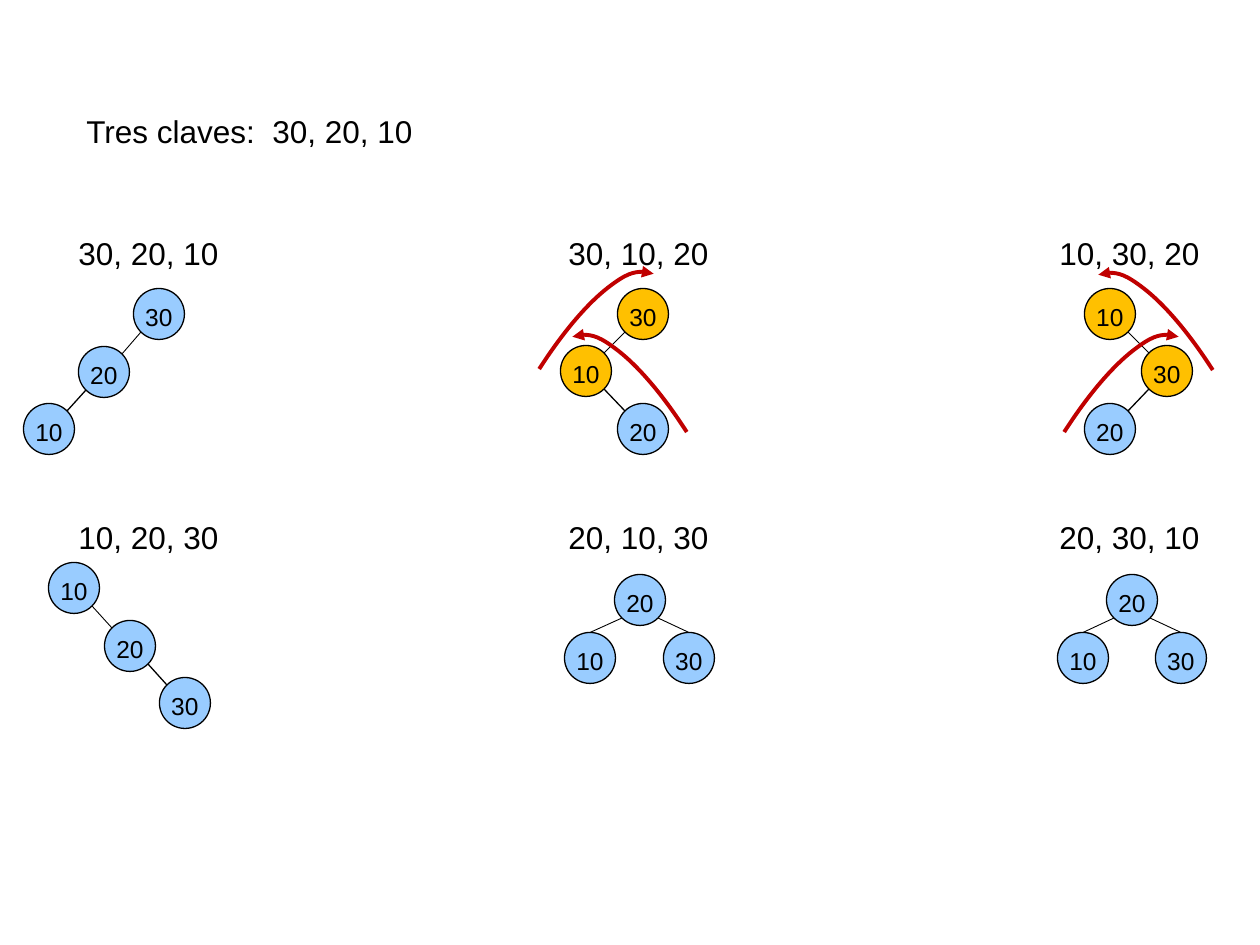
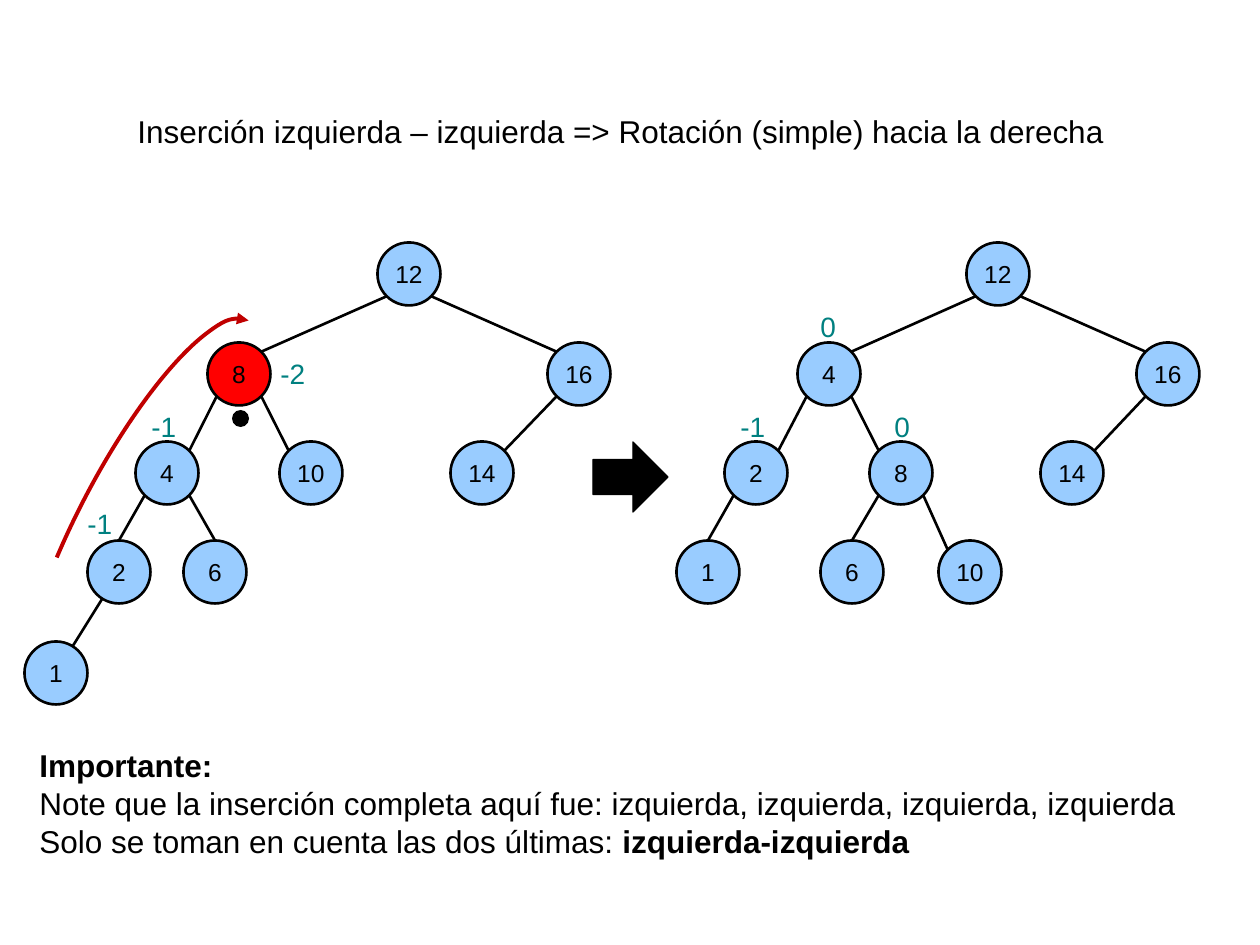
from math import hypot, sqrt

from lxml.etree import SubElement
from pptx import Presentation
from pptx.dml.color import RGBColor
from pptx.enum.shapes import MSO_CONNECTOR, MSO_SHAPE
from pptx.enum.text import MSO_ANCHOR, MSO_AUTO_SIZE, PP_ALIGN
from pptx.oxml.ns import qn
from pptx.util import Emu, Pt

PX_PER_INCH = 126
FONT = "Arial"
COLORS = {
    "black": "000000",
    "node": "99CCFF",
    "unbalanced": "FFC000",
    "pivot": "FF0000",
    "rotation": "C00000",
    "balance": "008080",
}

# Slide 1: three keys inserted in each possible order
KEYS_TITLE = ("Tres claves:  30, 20, 10", 74, 106, 354)
COLUMN_LEFTS = (66, 556, 1047)
ROW_TOPS = (228, 512)
INSERTION_ORDERS = [
    ["30, 20, 10", "30, 10, 20", "10, 30, 20"],
    ["10, 20, 30", "20, 10, 30", "20, 30, 10"],
]
# Nodes: key -> centre x, centre y, colour.
# Edges: parent, child, where the line meets the circles, width in points.
KEY_TREES = [
    ({"30": (159, 314, "node"), "20": (104, 372, "node"), "10": (49, 429, "node")},
     [("30", "20", "corner", 0.5), ("20", "10", "corner", 0.75)]),
    ({"30": (643, 314, "unbalanced"), "10": (586, 371, "unbalanced"), "20": (643, 429, "node")},
     [("30", "10", "corner", 0.5), ("10", "20", "corner", 0.75)]),
    ({"10": (1110, 314, "unbalanced"), "30": (1167, 371, "unbalanced"), "20": (1110, 429, "node")},
     [("10", "30", "corner", 0.5), ("30", "20", "corner", 0.75)]),
    ({"10": (74, 588, "node"), "20": (130, 646, "node"), "30": (185, 703, "node")},
     [("10", "20", "corner", 0.5), ("20", "30", "corner", 0.75)]),
    ({"20": (640, 600, "node"), "10": (590, 658, "node"), "30": (689, 658, "node")},
     [("20", "10", "top", 0.5), ("20", "30", "top", 0.5)]),
    ({"20": (1132, 600, "node"), "10": (1083, 658, "node"), "30": (1181, 658, "node")},
     [("20", "10", "top", 0.5), ("20", "30", "top", 0.5)]),
]
# Arcs: left, top, width, height, rotation, start angle in degrees, flipped
KEY_ARCS = [
    (433, 481, 475, 144, 65.6, 327.92, True),
    (318, 418, 475, 144, 294.4, 327.92, False),
    (843, 481, 475, 144, 294.4, 327.92, False),
    (959, 419, 475, 144, 65.6, 327.92, True),
]

# Slide 2: left-left insertion before and after the rotation
ROTATION_TITLE = ("Inserción izquierda – izquierda => Rotación (simple) hacia la derecha",
                  125, 106, 1009)
ROTATION_TREES = [
    ({"12": (409, 274, "node"), "8": (239, 374, "pivot"), "16": (579, 374, "node"),
      "4": (167, 473, "node"), "10": (311, 473, "node"), "14": (482, 473, "node"),
      "2": (119, 572, "node"), "6": (215, 572, "node"), "1": (56, 673, "node")},
     [("12", "8", "corner", 1.5), ("12", "16", "corner", 1.5), ("8", "4", "corner", 1.5),
      ("8", "10", "corner", 1.5), ("16", "14", "corner", 1.5), ("4", "2", "top", 1.5),
      ("4", "6", "top", 1.5), ("2", "1", "centre", 1.5)]),
    ({"12": (998, 274, "node"), "4": (829, 374, "node"), "16": (1168, 374, "node"),
      "2": (756, 473, "node"), "8": (901, 473, "node"), "14": (1072, 473, "node"),
      "1": (708, 572, "node"), "6": (852, 572, "node"), "10": (970, 572, "node")},
     [("12", "4", "corner", 1.5), ("12", "16", "corner", 1.5), ("4", "2", "corner", 1.5),
      ("4", "8", "corner", 1.5), ("16", "14", "corner", 1.5), ("2", "1", "top", 1.5),
      ("8", "6", "top", 1.5), ("8", "10", "corner", 1.5)]),
]
BALANCE_FACTORS = [
    ("-1", 75, 500, 50), ("-1", 139, 403, 50), ("-2", 268, 350, 50),
    ("-1", 728, 403, 50), ("0", 808, 303, 42), ("0", 882, 403, 42),
]
ROTATION_ARC = (-89, 462, 461, 125, 297.7, 221.03, False)
PIVOT_DOT = (232, 410, 17, 17)
RESULT_ARROW = (593, 442, 75, 70)
NOTE_BOX = (27, 740, 1172, 127)
NOTE = [
    [("Importante:", True)],
    [("Note que la inserción completa aquí fue: izquierda, izquierda, izquierda, izquierda", False)],
    [("Solo se toman en cuenta las dos últimas: ", False), ("izquierda-izquierda", True)],
]


def px(length):
    return Emu(round(length * 914400 / PX_PER_INCH))


def rgb(name):
    return RGBColor.from_string(COLORS[name])


def style_font(font, size, color="black", bold=False):
    font.name = FONT
    font.size = Pt(size)
    font.bold = bold
    font.color.rgb = rgb(color)


def add_text_box(slide, left, top, width, height):
    """Add an empty, unwrapped box and return its text frame."""
    box = slide.shapes.add_textbox(px(left), px(top), px(width), px(height))
    box.text_frame.word_wrap = False
    box.text_frame.auto_size = MSO_AUTO_SIZE.SHAPE_TO_FIT_TEXT
    return box.text_frame


def add_label(slide, text, left, top, width, height=50, size=18, color="black"):
    frame = add_text_box(slide, left, top, width, height)
    frame.text = text
    style_font(frame.paragraphs[0].runs[0].font, size, color)


def add_filled_shape(slide, kind, box, fill, line_width=None):
    shape = slide.shapes.add_shape(kind, *map(px, box))
    shape.shadow.inherit = False
    shape.fill.solid()
    shape.fill.fore_color.rgb = rgb(fill)
    if line_width is None:
        shape.line.fill.background()
    else:
        shape.line.color.rgb = rgb("black")
        shape.line.width = Pt(line_width)
    return shape


def add_node(slide, key, center_x, center_y, color, diameter, line_width, centered):
    box = (center_x - diameter / 2, center_y - diameter / 2, diameter, diameter)
    shape = add_filled_shape(slide, MSO_SHAPE.OVAL, box, color, line_width)
    frame = shape.text_frame
    frame.word_wrap = False
    frame.vertical_anchor = MSO_ANCHOR.MIDDLE if centered else MSO_ANCHOR.TOP
    if centered:
        frame.margin_left = frame.margin_top = frame.margin_right = frame.margin_bottom = 0
    frame.text = key
    paragraph = frame.paragraphs[0]
    paragraph.alignment = PP_ALIGN.CENTER
    style_font(paragraph.runs[0].font, 14)


def edge_ends(parent, child, meeting, radius):
    """Return the points where an edge leaves the parent and reaches the child."""
    (x1, y1), (x2, y2) = parent, child
    if meeting == "centre":
        distance = hypot(x2 - x1, y2 - y1)
        shift_x = radius * (x2 - x1) / distance
        shift_y = radius * (y2 - y1) / distance
    else:
        shift_y = radius / sqrt(2)
        shift_x = shift_y if x2 > x1 else -shift_y
    end = (x2, y2 - radius) if meeting == "top" else (x2 - shift_x, y2 - shift_y)
    return (x1 + shift_x, y1 + shift_y), end


def add_edge(slide, start, end, width):
    connector = slide.shapes.add_connector(MSO_CONNECTOR.STRAIGHT, *map(px, start + end))
    connector.line.color.rgb = rgb("black")
    connector.line.width = Pt(width)
    SubElement(connector._element.spPr, qn("a:effectLst"))


def add_tree(slide, nodes, edges, diameter, line_width, centered):
    for key, (x, y, color) in nodes.items():
        add_node(slide, key, x, y, color, diameter, line_width, centered)
    for parent, child, meeting, width in edges:
        start, end = edge_ends(nodes[parent][:2], nodes[child][:2], meeting, diameter / 2)
        add_edge(slide, start, end, width)


def add_rotation_arc(slide, left, top, width, height, rotation, start_angle, flipped):
    arc = slide.shapes.add_shape(MSO_SHAPE.ARC, px(left), px(top), px(width), px(height))
    arc.shadow.inherit = False
    arc.fill.background()
    arc.line.color.rgb = rgb("rotation")
    arc.line.width = Pt(2.25)
    arc.rotation = rotation
    # Angles are stored in 60000ths of a degree, adjustments are scaled by 100000
    arc.adjustments[0] = start_angle * 0.6
    arc.adjustments[1] = 0
    properties = arc._element.spPr
    if flipped:
        properties.find(qn("a:xfrm")).set("flipH", "1")
    SubElement(properties.find(qn("a:ln")), qn("a:tailEnd"), type="triangle")


def add_note(slide):
    frame = add_text_box(slide, *NOTE_BOX)
    for index, line in enumerate(NOTE):
        paragraph = frame.add_paragraph() if index else frame.paragraphs[0]
        for text, bold in line:
            run = paragraph.add_run()
            run.text = text
            style_font(run.font, 18, bold=bold)


def build_keys_slide(slide):
    add_label(slide, *KEYS_TITLE)
    for top, orders in zip(ROW_TOPS, INSERTION_ORDERS):
        for left, order in zip(COLUMN_LEFTS, orders):
            add_label(slide, order, left, top, 166)
    for nodes, edges in KEY_TREES:
        add_tree(slide, nodes, edges, diameter=51, line_width=0.75, centered=False)
    for arc in KEY_ARCS:
        add_rotation_arc(slide, *arc)


def build_rotation_slide(slide):
    add_label(slide, *ROTATION_TITLE)
    for nodes, edges in ROTATION_TREES:
        add_tree(slide, nodes, edges, diameter=63, line_width=1.5, centered=True)
    for factor in BALANCE_FACTORS:
        add_label(slide, *factor, height=46, size=16, color="balance")
    add_filled_shape(slide, MSO_SHAPE.OVAL, PIVOT_DOT, "black")
    add_rotation_arc(slide, *ROTATION_ARC)
    add_note(slide)
    add_filled_shape(slide, MSO_SHAPE.RIGHT_ARROW, RESULT_ARROW, "black", 0.75)


def main():
    presentation = Presentation()
    presentation.slide_width = px(1260)
    presentation.slide_height = px(945)
    for build in (build_keys_slide, build_rotation_slide):
        build(presentation.slides.add_slide(presentation.slide_layouts[6]))
    presentation.save("out.pptx")


if __name__ == "__main__":
    main()
